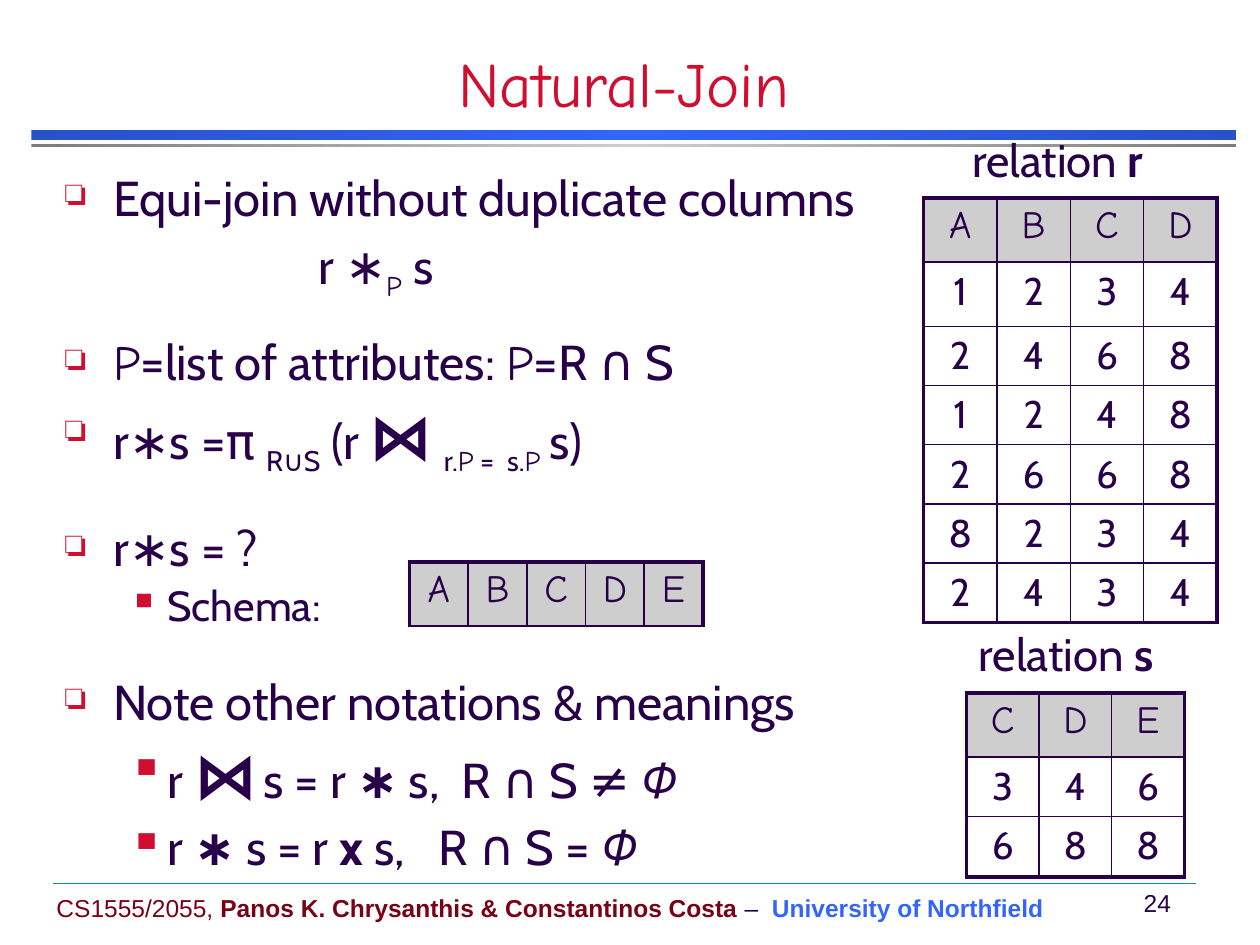
"""Build the Natural-Join lecture slide."""
from dataclasses import dataclass, field
from typing import Any, NamedTuple

from lxml.etree import SubElement
from pptx import Presentation
from pptx.dml.color import RGBColor
from pptx.enum.shapes import MSO_CONNECTOR, MSO_SHAPE
from pptx.enum.text import MSO_ANCHOR, PP_ALIGN
from pptx.oxml import parse_xml
from pptx.oxml.ns import nsdecls, qn
from pptx.util import Inches, Pt


@dataclass(frozen=True)
class Theme:
    ink: str = "280049"
    red: str = "CF0E30"
    maroon: str = "790015"
    blue: str = "3365FB"
    dark_blue: str = "2951C9"
    gray: str = "7C7C7C"
    silver: str = "CECECE"
    teal: str = "009688"
    text_font: str = "Cabin"
    comic_font: str = "Comic Neue"
    footer_font: str = "Arial"
    symbol_font: str = "Open Sans"
    title: int = 36
    body: int = 28
    label: int = 26
    detail: int = 24
    cell: int = 22
    footer: int = 14


THEME = Theme()


class Box(NamedTuple):
    left: float
    top: float
    width: float
    height: float


@dataclass(frozen=True)
class Run:
    text: str
    size: int = THEME.body
    name: str = THEME.text_font
    color: str = THEME.ink
    bold: bool = False
    italic: bool = False
    baseline: int = 0


@dataclass(frozen=True)
class Line:
    runs: list[Run]
    bullet: str = ""
    bullet_size: int = 100
    level: int = 0
    margin: float = 0
    indent: float = 0
    formats: dict[str, Any] = field(default_factory=dict)


class Grid(NamedTuple):
    box: Box
    row_heights: list[float]
    rows: list[str]
    bottom_width: float


def apply_formats(target: Any, formats: dict[str, Any]) -> None:
    for name, value in formats.items():
        setattr(target, name, value)


def spaced(before: float) -> dict[str, Any]:
    return {"line_spacing": 0.9, "space_before": Pt(before)}


def item(*runs: Run, before: float = 5.6) -> Line:
    return Line(list(runs), "❏", 75, 0, 0.38, -0.38, spaced(before))


def subitem(*runs: Run, before: float = 5.6) -> Line:
    return Line(list(runs), "▪", 100, 1, 0.81, -0.31, spaced(before))


def comic(text: str, baseline: int = 0) -> Run:
    return Run(text, name=THEME.comic_font, baseline=baseline)


def lowered(text: str) -> Run:
    return Run(text, baseline=-25)


def strong(text: str, size: int = THEME.body) -> Run:
    return Run(text, size, bold=True)


def write_line(paragraph: Any, line: Line) -> None:
    apply_formats(paragraph, {"level": line.level, **line.formats})
    properties = paragraph._p.get_or_add_pPr()
    properties.set("marL", str(Inches(line.margin)))
    properties.set("indent", str(Inches(line.indent)))
    if line.bullet:
        color = SubElement(properties, qn("a:buClr"))
        SubElement(color, qn("a:srgbClr")).set("val", THEME.red)
        SubElement(properties, qn("a:buSzPct")).set("val", str(line.bullet_size * 1000))
        SubElement(properties, qn("a:buChar")).set("char", line.bullet)
    for item_run in line.runs:
        run = paragraph.add_run()
        run.text = item_run.text
        apply_formats(run.font, {"size": Pt(item_run.size), "name": item_run.name,
                                 "bold": item_run.bold, "italic": item_run.italic})
        run.font.color.rgb = RGBColor.from_string(item_run.color)
        if item_run.baseline:
            run._r.get_or_add_rPr().set("baseline", str(item_run.baseline * 1000))


def add_text(slide: Any, box: Box, lines: list[Line], anchor: Any = MSO_ANCHOR.TOP) -> None:
    frame = slide.shapes.add_textbox(*map(Inches, box)).text_frame
    apply_formats(frame, {"word_wrap": True, "vertical_anchor": anchor})
    for index, line in enumerate(lines):
        write_line(frame.add_paragraph() if index else frame.paragraphs[0], line)


def add_band(slide: Any, box: Box, edge: str, middle: str) -> None:
    shape = slide.shapes.add_shape(MSO_SHAPE.RECTANGLE, *map(Inches, box))
    shape.shadow.inherit = False
    shape.line.fill.background()
    stops = "".join(f'<a:gs pos="{position}"><a:srgbClr val="{color}"/></a:gs>'
                    for position, color in ((0, edge), (50000, middle), (100000, edge)))
    shape.fill.background()
    empty_fill = shape._element.spPr.find(qn("a:noFill"))
    empty_fill.getparent().replace(empty_fill, parse_xml(
        f'<a:gradFill {nsdecls("a")}><a:gsLst>{stops}</a:gsLst><a:lin ang="0"/></a:gradFill>'))


def add_borders(cell: Any, widths: dict[str, float]) -> None:
    properties = cell._tc.get_or_add_tcPr()
    for side, width in widths.items():
        border = SubElement(properties, qn(f"a:ln{side}"))
        border.set("w", str(Pt(width)))
        fill = SubElement(border, qn("a:solidFill"))
        SubElement(fill, qn("a:srgbClr")).set("val", THEME.ink)


def add_grid(slide: Any, grid: Grid) -> None:
    last_row, last_column = len(grid.rows) - 1, len(grid.rows[0]) - 1
    table = slide.shapes.add_table(last_row + 1, last_column + 1, *map(Inches, grid.box)).table
    for height, row in zip(grid.row_heights, table.rows):
        row.height = Inches(height)
    for row_index, values in enumerate(grid.rows):
        for column_index, value in enumerate(values):
            cell = table.cell(row_index, column_index)
            add_borders(cell, {"L": 1 if column_index else 2.25,
                               "R": 2.25 if column_index == last_column else 1,
                               "T": 1 if row_index else 2.25,
                               "B": grid.bottom_width if row_index == last_row else 1})
            if row_index:
                cell.fill.background()
            else:
                cell.fill.solid()
                cell.fill.fore_color.rgb = RGBColor.from_string(THEME.silver)
            font = THEME.text_font if row_index else THEME.comic_font
            write_line(cell.text_frame.paragraphs[0], Line(
                [Run(value, THEME.cell, font)],
                formats={"alignment": PP_ALIGN.CENTER, "space_before": Pt(4.4)}))


presentation = Presentation()
apply_formats(presentation, {"slide_width": Inches(10), "slide_height": Inches(7.5)})
slide = presentation.slides.add_slide(presentation.slide_layouts[6])

add_band(slide, Box(0.25, 1.03, 9.56, 0.08), THEME.dark_blue, THEME.blue)
add_band(slide, Box(0.25, 1.14, 9.56, 0.03), THEME.gray, THEME.silver)
rule = slide.shapes.add_connector(MSO_CONNECTOR.STRAIGHT, *map(Inches, (0.42, 7.01, 9.49, 7.01)))
rule.line.color.rgb = RGBColor.from_string(THEME.teal)
rule.line.width = Pt(0.25)
SubElement(rule._element.spPr, qn("a:effectLst"))

centered = {"alignment": PP_ALIGN.CENTER}
small = (THEME.footer, THEME.footer_font)
add_text(slide, Box(0.35, 7.04, 8.5, 0.33), [Line([
    Run("CS1555/2055, ", *small, THEME.maroon),
    Run("Panos K. Chrysanthis & Constantinos Costa", *small, THEME.maroon, True),
    Run(" –  ", *small),
    Run("University of Northfield", *small, THEME.blue, True)])], MSO_ANCHOR.MIDDLE)
add_text(slide, Box(8.94, 7, 0.49, 0.33), [Line([Run("24", *small)], formats=centered)],
         MSO_ANCHOR.MIDDLE)
add_text(slide, Box(0, 0.42, 9.9, 0.58), [Line(
    [Run("Natural-Join", THEME.title, THEME.comic_font, THEME.red)], formats=centered)],
    MSO_ANCHOR.BOTTOM)

add_text(slide, Box(0.42, 1.33, 6.83, 4), [
    item(Run("Equi-join without duplicate columns")),
    Line([Run("r ∗"), comic("P", -25), Run(" s ")], margin=2.01, formats=spaced(5.6)),
    item(comic("P"), Run("=list of attributes: "), comic("P"), Run("=R ∩ S"), before=23.7),
    item(Run("r∗s =π "), lowered("R∪S"), Run(" (r "), strong("⋈", THEME.title), Run(" "),
         lowered("r."), comic("P", -25), lowered(" =  s."), comic("P ", -25), Run("s)")),
    item(Run("r∗s = ?"), before=28.9),
    subitem(Run("Schema:", THEME.detail), before=4.8)])
phi = Run("Φ", name=THEME.symbol_font, italic=True)
add_text(slide, Box(0.42, 5.33, 6.83, 1.67), [
    item(Run("Note other notations & meanings")),
    subitem(Run("r "), strong("⋈", THEME.title), lowered(" "), Run("s = r "), strong("∗"),
            Run(" s,  R ∩ S ≠ "), phi),
    subitem(Run("r "), strong("∗"), Run(" s = r "), strong("x "), Run("s,   R ∩ S = "), phi)])

for relation, box in (("r", Box(7.62, 1.05, 1.66, 0.53)), ("s", Box(7.67, 4.97, 1.69, 0.53))):
    add_text(slide, box, [Line([Run("relation ", THEME.label), strong(relation, THEME.label)],
                               formats=spaced(5.2))])
for grid in (
    Grid(Box(7.33, 1.57, 2.33, 3.35), [0.51] * 2 + [0.47] * 5,
         ["ABCD", "1234", "2468", "1248", "2668", "8234", "2434"], 2.25),
    Grid(Box(7.67, 5.5, 1.73, 1.46), [0.51, 0.47, 0.48], ["CDE", "346", "688"], 2.25),
    Grid(Box(3.25, 4.46, 2.33, 0.51), [0.51], ["ABCDE"], 1),
):
    add_grid(slide, grid)

presentation.save("out.pptx")
